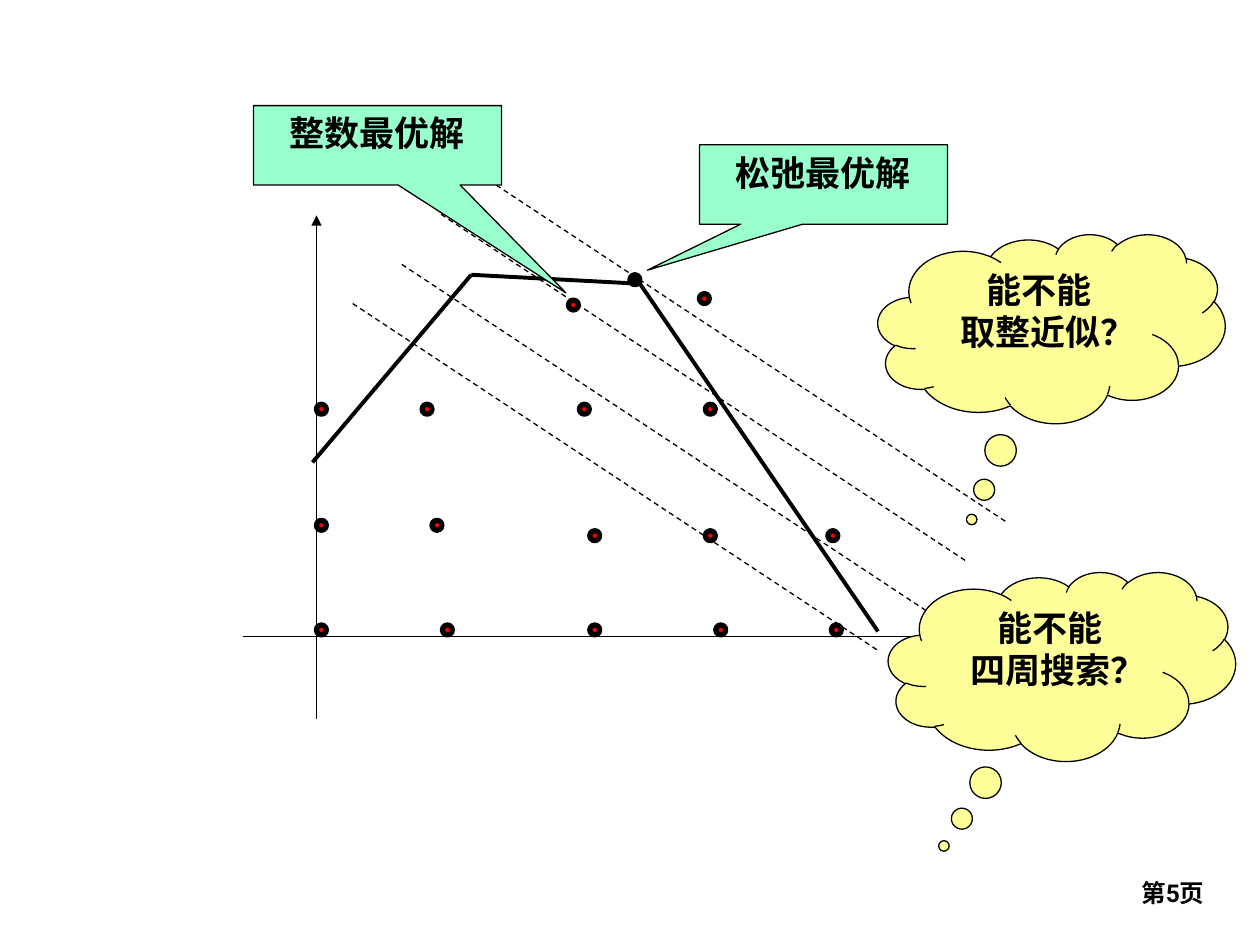
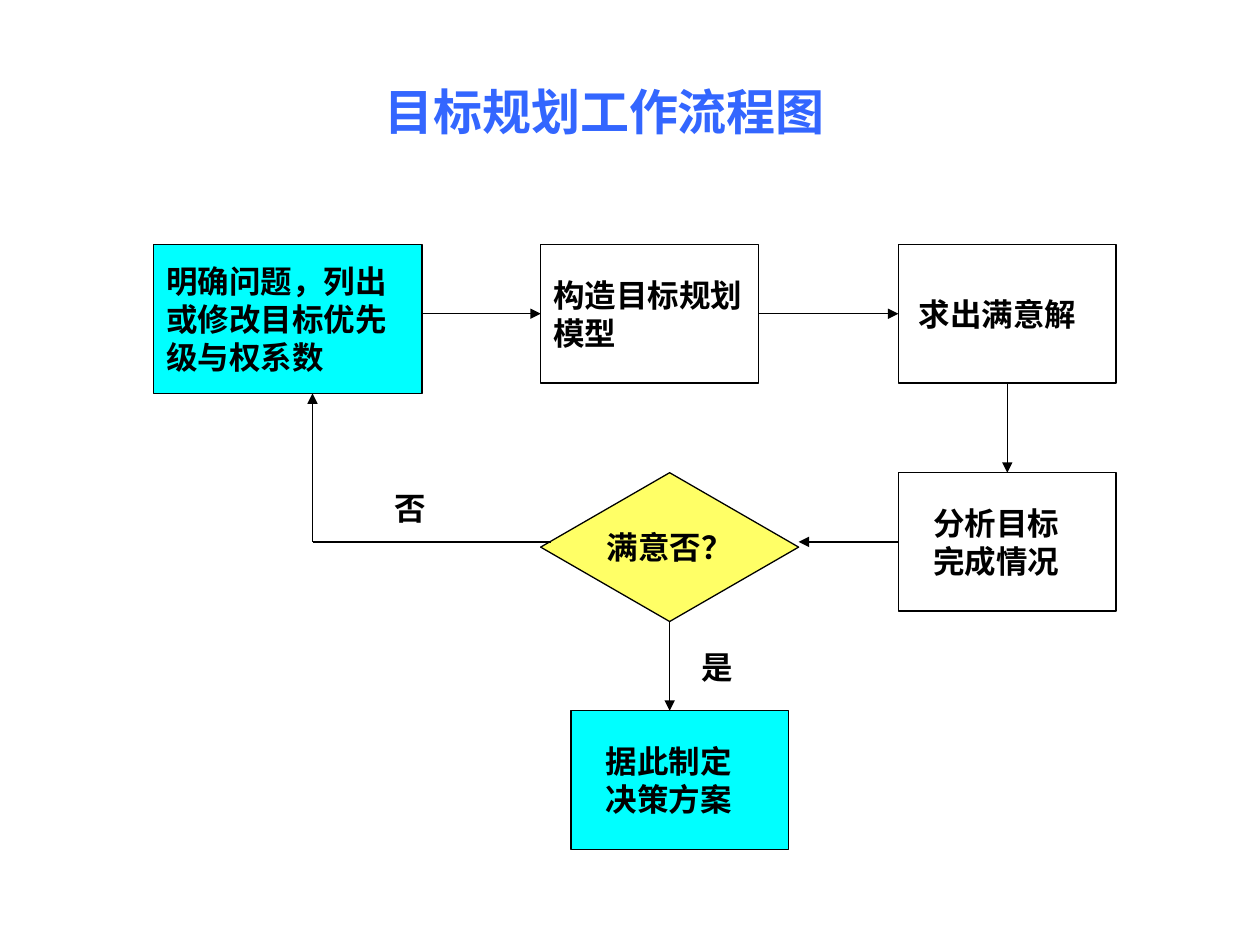
from itertools import pairwise

from lxml.etree import SubElement
from pptx import Presentation
from pptx.dml.color import RGBColor
from pptx.enum.dml import MSO_LINE
from pptx.enum.shapes import MSO_CONNECTOR, MSO_SHAPE as Shape
from pptx.enum.text import MSO_ANCHOR as Anchor, PP_ALIGN as Align
from pptx.oxml.ns import qn
from pptx.util import Cm, Pt

FONT = "Roboto"
BLACK, WHITE, RED = "000000", "FFFFFF", "FF0000"
TITLE_BLUE, CYAN, YELLOW = "3366FF", "00FFFF", "FFFF66"
MINT, CLOUD_YELLOW = "99FFCC", "FFFF99"
THIN, BOLD_LINE, DOT_RING = 0.75, 2.25, 3
DOT = 0.2


def color(hex_code):
    return RGBColor.from_string(hex_code)


def write(frame, text, size=18, ink=BLACK, align=Align.LEFT, anchor=Anchor.TOP,
          wrap=True, inset=0.25, last_indent=0):
    frame.word_wrap = wrap
    frame.vertical_anchor = anchor
    frame.margin_left = Cm(inset)
    lines = text.split("\n")
    for index, line in enumerate(lines):
        paragraph = frame.paragraphs[0] if index == 0 else frame.add_paragraph()
        paragraph.alignment = align
        if last_indent and index == len(lines) - 1:
            paragraph._p.get_or_add_pPr().set("marL", str(Cm(last_indent)))
        run = paragraph.add_run()
        run.text = line
        run.font.name = FONT
        run.font.size = Pt(size)
        run.font.bold = True
        run.font.color.rgb = color(ink)
        SubElement(run.font._element, qn("a:ea"), typeface=FONT)


def add_label(slide, box, text, **style):
    label = slide.shapes.add_textbox(*map(Cm, box))
    write(label.text_frame, text, **style)


def add_figure(slide, kind, box, fill, line_width=THIN, pointer=None):
    figure = slide.shapes.add_shape(kind, *map(Cm, box))
    figure.shadow.inherit = False
    figure.fill.solid()
    figure.fill.fore_color.rgb = color(fill)
    figure.line.color.rgb = color(BLACK)
    figure.line.width = Pt(line_width)
    for index, value in enumerate(pointer or ()):
        figure.adjustments[index] = value
    return figure


def add_line(slide, origin, start, end, width=THIN, arrow=False, dashed=False):
    left, top = origin
    line = slide.shapes.add_connector(
        MSO_CONNECTOR.STRAIGHT, Cm(left + start[0]), Cm(top + start[1]),
        Cm(left + end[0]), Cm(top + end[1]))
    line.line.color.rgb = color(BLACK)
    line.line.width = Pt(width)
    if dashed:
        line.line.dash_style = MSO_LINE.DASH
    if arrow:
        SubElement(line.line._get_or_add_ln(), qn("a:tailEnd"), type="triangle")
    SubElement(line._element.spPr, qn("a:effectLst"))


def draw_plot(slide, left, top):
    origin = left, top
    add_line(slide, origin, (0, 9.3), (13.97, 9.3), arrow=True)
    add_line(slide, origin, (1.48, 10.97), (1.48, 0.81), arrow=True)

    feasible_edge = [(1.4, 5.79), (4.6, 2.01), (8, 2.19), (12.8, 9.2)]
    for start, end in pairwise(feasible_edge):
        add_line(slide, origin, start, end, width=BOLD_LINE)

    integer_points = {
        9.07: [1.48, 4.02, 6.99, 9.53, 11.86],
        7.17: [6.99, 9.32, 11.79],
        6.96: [1.48, 3.81],
        4.62: [1.48, 3.61, 6.78, 9.32],
        2.52: [6.56],
        2.39: [9.2],
    }
    dots = [(x, y, RED) for y, row in integer_points.items() for x in row]
    relaxed_optimum = (7.8, 2.01, BLACK)

    for x, y in [(2.21, 2.59), (3.2, 1.8), (3.99, 0.79), (4.8, 0)]:
        add_line(slide, origin, (x, y), (x + 10.6, y + 7), dashed=True)
    for x, y, fill in dots + [relaxed_optimum]:
        add_figure(slide, Shape.FLOWCHART_CONNECTOR, (left + x, top + y, DOT, DOT),
                   fill, line_width=DOT_RING)


def draw_remarks(slide, left, top):
    callout = Shape.RECTANGULAR_CALLOUT, 5, 1.6, MINT, 0
    cloud = Shape.CLOUD_CALLOUT, 7, 3.81, CLOUD_YELLOW, 0.35
    remarks = [
        (callout, 8.99, 0.79, (-0.71, 1.08), "松弛最优解"),
        (callout, 0, 0, (0.76, 1.86), "整数最优解"),
        (cloud, 12.59, 2.59, (-0.23, 1.01), "能不能\n取整近似？"),
        (cloud, 12.8, 9.4, (-0.34, 0.95), "能不能\n四周搜索？"),
    ]
    for (kind, width, height, fill, indent), x, y, pointer, text in remarks:
        bubble = add_figure(slide, kind, (left + x, top + y, width, height), fill,
                            pointer=pointer)
        write(bubble.text_frame, text, size=20, align=Align.CENTER, last_indent=indent)


def draw_flowchart(slide, left, top):
    origin = left, top
    process, decision = Shape.FLOWCHART_PROCESS, Shape.FLOWCHART_DECISION
    wide, tall, narrow, short = 5.41, 3, 4.39, 2.79
    model_x, solve_x, plan_x = 7.8, 15.01, 8.41
    check_y, plan_y, check_width = 4.6, 9.4, 5.2
    steps = [
        (process, 0, 0, wide, tall, CYAN, 0.25, "明确问题，列出\n或修改目标优先\n级与权系数"),
        (process, model_x, 0, narrow, short, WHITE, 0.25, "构造目标规划\n模型"),
        (process, solve_x, 0, narrow, short, WHITE, 0.41, "求出满意解"),
        (process, solve_x, check_y, narrow, short, WHITE, 0.7, "分析目标\n完成情况"),
        (decision, model_x, check_y, check_width, tall, YELLOW, 0.25, "满意否？"),
        (process, plan_x, plan_y, narrow, short, CYAN, 0.7, "据此制定\n决策方案"),
    ]
    for kind, x, y, width, height, fill, inset, text in steps:
        step = add_figure(slide, kind, (left + x, top + y, width, height), fill)
        write(step.text_frame, text, anchor=Anchor.MIDDLE, wrap=False, inset=inset,
              align=Align.CENTER if kind == decision else Align.LEFT)

    top_mid, check_mid = short / 2, check_y + short / 2
    solve_mid, check_center = solve_x + narrow / 2, model_x + check_width / 2
    return_x = 3.2
    arrows = [
        ((wide, top_mid), (model_x, top_mid)),
        ((model_x + narrow, top_mid), (solve_x, top_mid)),
        ((solve_mid, short), (solve_mid, check_y)),
        ((solve_x, check_mid), (model_x + check_width, check_mid)),
        ((check_center, check_y + tall), (check_center, plan_y)),
        ((return_x, check_mid), (return_x, tall)),
    ]
    for start, end in arrows:
        add_line(slide, origin, start, end, arrow=True)
    add_line(slide, origin, (model_x + 0.2, check_mid), (return_x, check_mid))

    for x, y, answer in [(10.8, 8, "是"), (4.6, 4.8, "否")]:
        add_label(slide, (left + x, top + y, 2, 1.02), answer)


def build_optimum_slide(slide):
    add_label(slide, (19.25, 17.15, 5.28, 1.27), "第5页", size=14,
              align=Align.RIGHT, anchor=Anchor.BOTTOM)
    draw_plot(slide, 4.9, 3.53)
    draw_remarks(slide, 5.11, 2.13)


def build_workflow_slide(slide):
    draw_flowchart(slide, 3.1, 4.93)
    add_label(slide, (7.5, 1.52, 11.6, 1.45), "目标规划工作流程图", size=28, ink=TITLE_BLUE)


def main():
    deck = Presentation()
    deck.slide_width, deck.slide_height = Cm(25.4), Cm(19.05)
    blank = deck.slide_layouts[6]
    for build in (build_optimum_slide, build_workflow_slide):
        build(deck.slides.add_slide(blank))
    deck.save("out.pptx")


if __name__ == "__main__":
    main()
